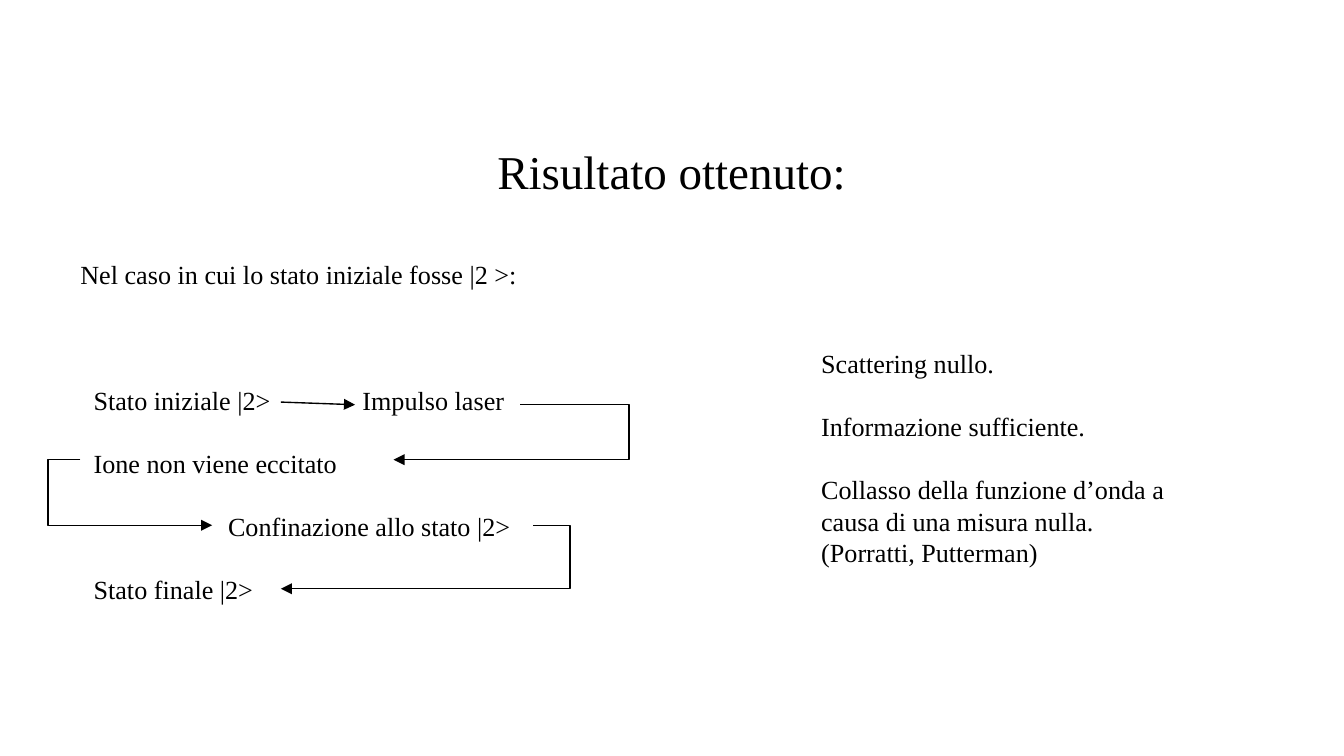
from dataclasses import dataclass

from lxml.etree import SubElement
from pptx import Presentation
from pptx.dml.color import RGBColor
from pptx.enum.shapes import MSO_CONNECTOR
from pptx.enum.text import MSO_ANCHOR, PP_ALIGN
from pptx.oxml.ns import qn
from pptx.util import Cm, Pt


@dataclass(frozen=True)
class Theme:
    font: str = "Times New Roman"
    ink: RGBColor = RGBColor(0, 0, 0)
    background: RGBColor = RGBColor(255, 255, 255)
    title_size: float = 25.2
    body_size: float = 14
    line_pitch: float = 16.85
    line_width: float = 0.75
    tab_stops: tuple = (2.54, 5.08)


class SlideBuilder:
    def __init__(self, slide, theme):
        self.slide = slide
        self.theme = theme
        fill = slide.background.fill
        fill.solid()
        fill.fore_color.rgb = theme.background

    def text_box(self, left, top, width, height):
        shape = self.slide.shapes.add_textbox(Cm(left), Cm(top), Cm(width), Cm(height))
        shape.text_frame.word_wrap = True
        return shape.text_frame

    def style_runs(self, paragraph, size):
        for run in paragraph.runs:
            run.font.name = self.theme.font
            run.font.size = Pt(size)
            run.font.color.rgb = self.theme.ink

    def title(self, text, left, top, width, height):
        text_frame = self.text_box(left, top, width, height)
        text_frame.margin_top = text_frame.margin_bottom = Cm(0.25)
        text_frame.vertical_anchor = MSO_ANCHOR.BOTTOM
        text_frame.text = text
        paragraph = text_frame.paragraphs[0]
        paragraph.alignment = PP_ALIGN.CENTER
        self.style_runs(paragraph, self.theme.title_size)

    def add_tabs(self, paragraph):
        properties = paragraph._p.get_or_add_pPr()
        tabs = SubElement(properties, qn("a:tabLst"))
        for stop in self.theme.tab_stops:
            SubElement(tabs, qn("a:tab"), pos=str(Cm(stop)), algn="l")

    def body(self, blocks, left, top, width, height):
        text_frame = self.text_box(left, top, width, height)
        text_frame.text = "\n".join(line for block in blocks for line in block)
        starts = {sum(map(len, blocks[:index])) for index in range(1, len(blocks))}
        for index, paragraph in enumerate(text_frame.paragraphs):
            if "\t" in paragraph.text:
                self.add_tabs(paragraph)
            paragraph.line_spacing = Pt(self.theme.line_pitch)
            if index in starts:
                paragraph.space_before = Pt(self.theme.line_pitch)
            self.style_runs(paragraph, self.theme.body_size)

    def arrow(self, start, end, bend_x=None):
        kind = MSO_CONNECTOR.STRAIGHT if bend_x is None else MSO_CONNECTOR.ELBOW
        connector = self.slide.shapes.add_connector(kind, *map(Cm, start + end))
        connector.line.color.rgb = self.theme.ink
        connector.line.width = Pt(self.theme.line_width)
        properties = connector._element.spPr
        SubElement(properties.find(qn("a:ln")), qn("a:tailEnd"), type="triangle")
        SubElement(properties, qn("a:effectLst"))
        if bend_x is not None:
            ratio = (bend_x - start[0]) / (end[0] - start[0])
            adjustments = properties.find(qn("a:prstGeom")).find(qn("a:avLst"))
            SubElement(adjustments, qn("a:gd"), name="adj1", fmla=f"val {round(ratio * 100000)}")


def main():
    presentation = Presentation()
    presentation.slide_width = Cm(25.4)
    presentation.slide_height = Cm(14.29)
    slide = presentation.slides.add_slide(presentation.slide_layouts[6])
    builder = SlideBuilder(slide, Theme())

    builder.title("Risultato ottenuto:", 0.86, 2.41, 23.67, 1.6)
    builder.body([["Nel caso in cui lo stato iniziale fosse |2 >:"]], 1.27, 4.75, 21.46, 0.86)
    builder.body(
        [
            ["Stato iniziale |2> \tImpulso laser"],
            ["Ione non viene eccitato"],
            ["\tConfinazione allo stato |2>"],
            ["Stato finale |2>"],
        ],
        1.52, 7.14, 11.18, 4.45,
    )

    builder.arrow((5.31, 7.6), (6.71, 7.65))
    builder.arrow((9.83, 7.65), (7.44, 8.69), bend_x=11.89)
    builder.arrow((1.52, 8.69), (4.01, 9.93), bend_x=0.91)
    builder.arrow((10.08, 9.93), (5.31, 11.13), bend_x=10.77)

    builder.body(
        [
            ["Scattering nullo."],
            ["Informazione sufficiente."],
            ["Collasso della funzione d’onda a causa di una misura nulla.", "(Porratti, Putterman)"],
        ],
        15.27, 6.45, 7.72, 4.45,
    )
    presentation.save("out.pptx")


if __name__ == "__main__":
    main()
